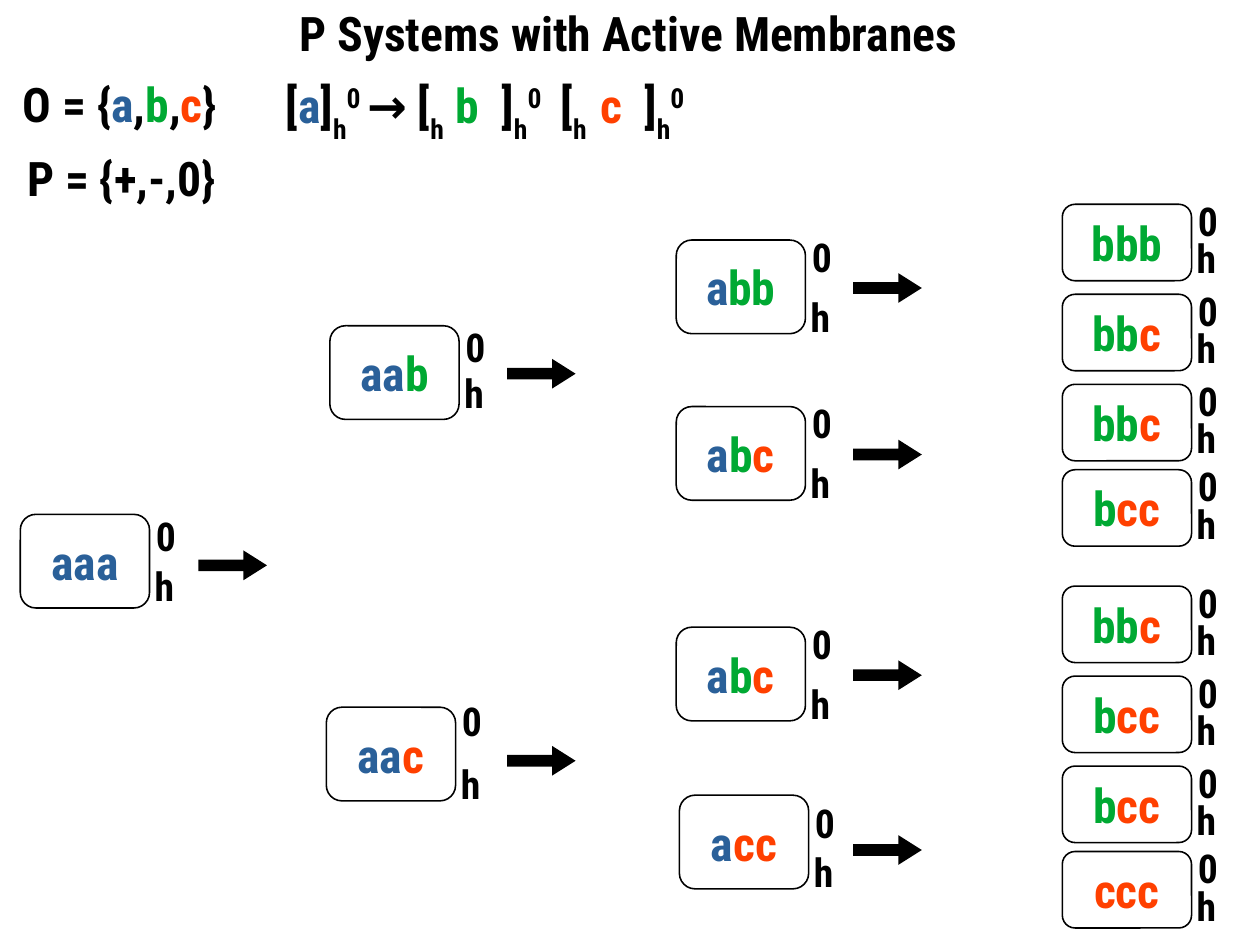
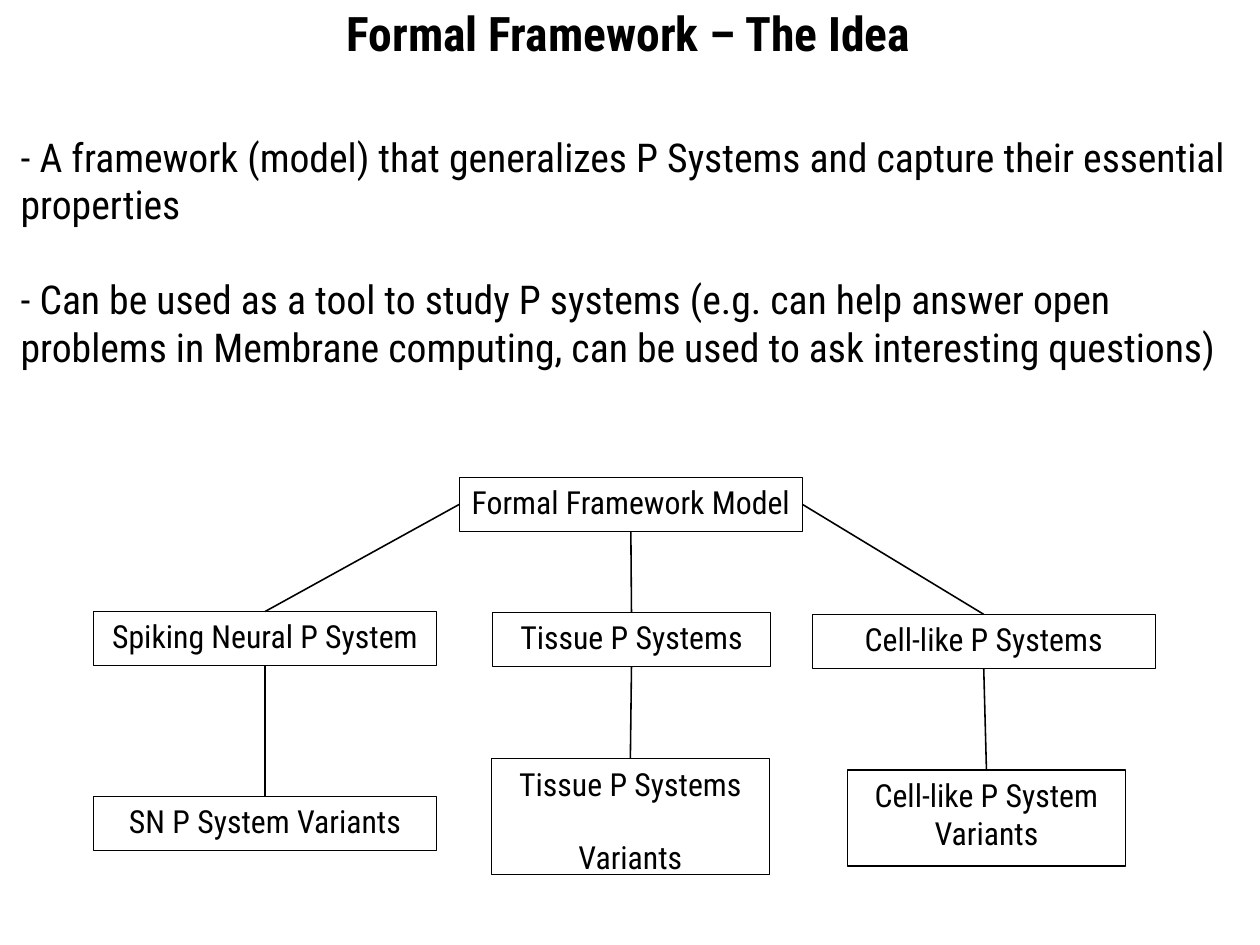
from itertools import groupby
from lxml.etree import SubElement
from pptx import Presentation
from pptx.dml.color import RGBColor
from pptx.enum.shapes import MSO_CONNECTOR, MSO_SHAPE
from pptx.enum.text import MSO_ANCHOR, MSO_AUTO_SIZE, PP_ALIGN
from pptx.oxml.ns import qn
from pptx.util import Pt

FONT = "Roboto Condensed"
BLACK = "000000"
HUES = {"a": "2A6099", "b": "00A933", "c": "FF4000"}

# Text and baseline shift in percent
RULE = [("[a]", 0), ("h", -33), ("0 ", 33), ("→ [", 0), ("h", -33),
        ("\tb\t]", 0), ("h", -33), ("0", 33), ("\t[", 0), ("h", -33),
        ("\tc\t]", 0), ("h", -33), ("0", 33)]
STOPS = [107.3, 136, 173.3, 198.2, 226]
SETS = [("O = {a,b,c}", 7.2, 43.6), ("P = {+,-,0}", 10, 90.4)]

# Symbols, left, top, then offsets from the top: label 0, label h, arrow
CELLS = [
    ("aaa", 12.8, 324, -5.3, 26.4, 22.8),
    ("aab", 207.8, 205.2, -5.6, 23.6, 20.9),
    ("aac", 205.6, 445.5, -10.2, 29.5, 24.4),
    ("abb", 426, 151.2, -8, 29.5, 20.9),
    ("abc", 426, 256.1, -8.2, 29.3, 20.9),
    ("abc", 426, 395.1, -8.4, 29.3, 20.9),
    ("acc", 428, 500.9, -1.2, 29.5, 25.2),
]
ARROWS = {"aaa": 125, "aab": 319.4, "aac": 319.4}
LAST = 537.5
LEAVES = [(128.7, ["bbb", "bbc", "bbc", "bcc"]),
          (369.2, ["bbc", "bcc", "bcc", "ccc"])]
STEPS = [0, 56.7, 113.4, 167.2]

IDEAS = [
    "- A framework (model) that generalizes P Systems and capture their "
    "essential properties",
    "- Can be used as a tool to study P systems (e.g. can help answer open "
    "problems in Membrane computing, can be used to ask interesting questions)",
]
# Lines, left, top, width, height
NODES = {
    "root": (["Formal Framework Model"], 289.4, 300.6, 216, 34.2),
    "spike": (["Spiking Neural P System"], 59, 385.2, 216, 34.2),
    "tissue": (["Tissue P Systems"], 310.3, 385.6, 175, 34.2),
    "cell": (["Cell-like P Systems"], 511.7, 387, 216, 34.2),
    "spike2": (["SN P System Variants"], 59, 501.8, 216, 34.2),
    "tissue2": (["Tissue P Systems", "Variants"], 309.6, 478, 175, 72.7),
    "cell2": (["Cell-like P System Variants"], 533.9, 485, 175, 60.5),
}
# Sides: 0 top, 1 left, 2 bottom, 3 right
LINKS = [("root", 1, "spike"), ("root", 2, "tissue"), ("root", 3, "cell"),
         ("spike", 2, "spike2"), ("tissue", 2, "tissue2"), ("cell", 2, "cell2")]


def rgb(code):
    return RGBColor.from_string(code)


def style(item, **values):
    for name, value in values.items():
        setattr(item, name, value)


def ink(font, size, bold=False, color=BLACK):
    style(font, name=FONT, size=Pt(size), bold=bold)
    font.color.rgb = rgb(color)


def place(shape, *box):
    for name, value in zip(("left", "top", "width", "height"), box):
        setattr(shape, name, Pt(value))


def frame(shape, side, edge, wrap, anchor=MSO_ANCHOR.TOP):
    """Set the insets, wrapping and anchor of a text frame."""
    text = shape.text_frame
    style(text, margin_left=Pt(side), margin_right=Pt(side),
          margin_top=Pt(edge), margin_bottom=Pt(edge), word_wrap=wrap,
          auto_size=MSO_AUTO_SIZE.NONE, vertical_anchor=anchor)
    return text


def tint(para, text, size, shift=0):
    """Add bold runs, with each symbol in its own colour."""
    for color, part in groupby(text, lambda sign: HUES.get(sign, BLACK)):
        run = para.add_run()
        run.text = "".join(part)
        ink(run.font, size, True, color)
        if shift:
            run._r.get_or_add_rPr().set("baseline", str(shift * 1000))


def start(deck, layout, title):
    """Add a slide with the shared title."""
    slide = deck.slides.add_slide(deck.slide_layouts[layout])
    head = slide.shapes.title
    place(head, 0, 0.7, 792, 39.6)
    text = frame(head, 0, 0, True, MSO_ANCHOR.MIDDLE)
    text.text = title
    text.paragraphs[0].alignment = PP_ALIGN.CENTER
    ink(text.paragraphs[0].font, 30, True)
    return slide


def draw(slide, kind, box, width=None):
    """Add a shape: outlined if a line width is given, else solid black."""
    shape = slide.shapes.add_shape(kind, *map(Pt, box))
    shape.shadow.inherit = False
    if width:
        shape.fill.background()
        shape.line.color.rgb = rgb(BLACK)
        shape.line.width = Pt(width)
    else:
        shape.fill.solid()
        shape.fill.fore_color.rgb = rgb(BLACK)
        shape.line.fill.background()
    return shape


def label(slide, text, size, *box):
    shape = slide.shapes.add_textbox(*map(Pt, box))
    para = frame(shape, 7.2, 3.6, False).paragraphs[0]
    tint(para, text, size)
    return para


def cell(slide, text, left, top, high, zero, low):
    """Draw a membrane with its charge 0 and its name h."""
    shape = draw(slide, MSO_SHAPE.ROUNDED_RECTANGLE, (left, top, 81.4, high), 1)
    para = frame(shape, 7.9, 4.3, False, MSO_ANCHOR.MIDDLE).paragraphs[0]
    para.alignment = PP_ALIGN.CENTER
    tint(para, text, 30)
    label(slide, "0", 25, left + 78.3, top + zero, 21.6, 40.3)
    label(slide, "h", 25, left + 77.6, top + low, 21.6, 40.3)


def membranes(deck):
    slide = start(deck, 5, "P Systems with Active Membranes")
    for text, left, top in SETS:
        label(slide, text, 30, left, top, 136.8, 46.8)
    para = label(slide, "", 30, 172.8, 44.6, 282, 53.3)
    tabs = SubElement(para._p.get_or_add_pPr(), qn("a:tabLst"))
    for stop in STOPS:
        SubElement(tabs, qn("a:tab"), pos=str(Pt(stop)), algn="l")
    for text, shift in RULE:
        tint(para, text, 30, shift)
    for text, left, top, zero, low, drop in CELLS:
        cell(slide, text, left, top, 59, zero, low)
        box = ARROWS.get(text, LAST), top + drop, 43.2, 18.7
        arrow = draw(slide, MSO_SHAPE.RIGHT_ARROW, box)
        arrow.adjustments[0], arrow.adjustments[1] = 0.39, 0.79
    for top, texts in LEAVES:
        for text, step in zip(texts, STEPS):
            cell(slide, text, 669.2, top + step, 48.2, -8.4, 15.3)


def framework(deck):
    slide = start(deck, 1, "Formal Framework – The Idea")
    body = slide.placeholders[1]
    place(body, 13, 73.4, 769, 170)
    text = frame(body, 0, 0, True, MSO_ANCHOR.MIDDLE)
    text.text = "\n".join(IDEAS)
    for i, para in enumerate(text.paragraphs):
        props = para._p.get_or_add_pPr()
        props.set("marL", "0")
        props.set("indent", "0")
        SubElement(props, qn("a:buNone"))
        style(para, space_before=Pt(30 if i else 0), alignment=PP_ALIGN.LEFT)
        ink(para.font, 25)
    shapes = {}
    for name, (lines, *box) in NODES.items():
        shapes[name] = draw(slide, MSO_SHAPE.RECTANGLE, box, 0.79)
        text = frame(shapes[name], 5, 3.6, True)
        text.text = "\n".join(lines)
        for i, para in enumerate(text.paragraphs):
            style(para, space_before=Pt(22 if i else 0),
                  alignment=PP_ALIGN.CENTER)
            ink(para.font, 20)
    for head, side, tail in LINKS:
        link = slide.shapes.add_connector(MSO_CONNECTOR.STRAIGHT, 0, 0, 0, 0)
        link.begin_connect(shapes[head], side)
        link.end_connect(shapes[tail], 0)
        link.line.color.rgb = rgb(BLACK)
        link.line.width = Pt(1)
        SubElement(link._element.spPr, qn("a:effectLst"))


def main():
    deck = Presentation()
    style(deck, slide_width=Pt(793.7), slide_height=Pt(595.28))
    membranes(deck)
    framework(deck)
    deck.save("out.pptx")


if __name__ == "__main__":
    main()
